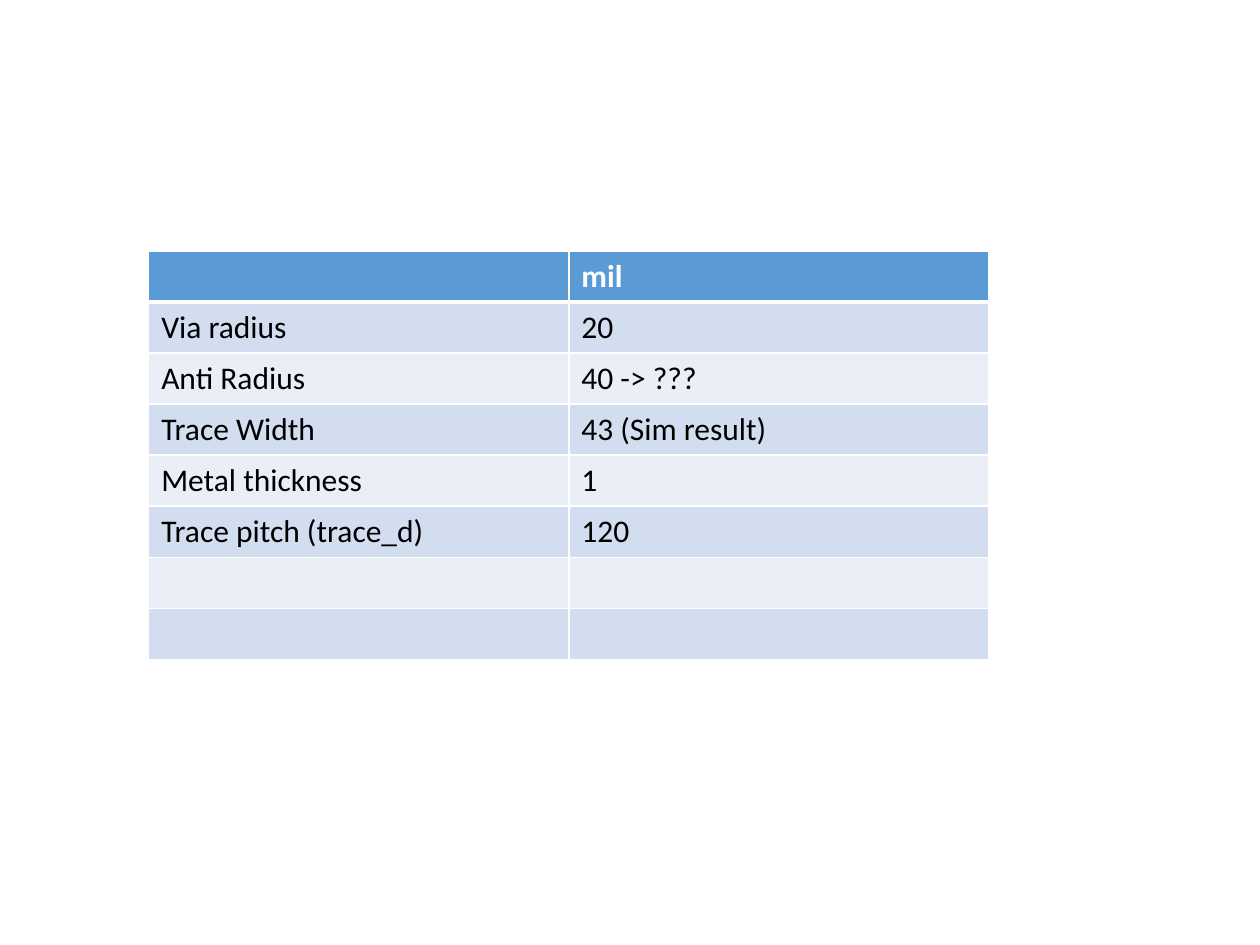
from lxml import etree
from pptx import Presentation
from pptx import util as u
from pptx.dml.color import RGBColor
from pptx.oxml import ns

WHITE = RGBColor(0xFF, 0xFF, 0xFF)
BLACK = RGBColor(0, 0, 0)
BLUE = RGBColor(0x5B, 0x9B, 0xD5)
BANDS = [RGBColor(0xEA, 0xEF, 0xF7), RGBColor(0xD2, 0xDE, 0xEF)]

ROWS = [
    ("", "mil"),
    ("Via radius", "20"),
    ("Anti Radius", "40 -> ???"),
    ("Trace Width", "43 (Sim result)"),
    ("Metal thickness", "1"),
    ("Trace pitch (trace_d)", "120"),
    ("", ""),
    ("", ""),
]


def write(frame, text, size=18, color=BLACK, bold=False, font="Calibri"):
    para = frame.paragraphs[0]
    para.font.size = u.Pt(size)
    if text:
        run = para.add_run()
        run.text = text
        run.font.size = u.Pt(size)
        run.font.name = font
        run.font.bold = bold
        run.font.color.rgb = color


def edge(cell, side, width, color=WHITE):
    props = cell._tc.get_or_add_tcPr()
    line = etree.SubElement(props, ns.qn("a:ln" + side), w=str(u.Pt(width)))
    fill = etree.SubElement(line, ns.qn("a:solidFill"))
    etree.SubElement(fill, ns.qn("a:srgbClr"), val=str(color))


def add_sizes(slide, left, top, width, height):
    count = len(ROWS)
    table = slide.shapes.add_table(count, 2, left, top, width, height).table
    for r, row in enumerate(ROWS):
        head = r == 0
        for c, text in enumerate(row):
            cell = table.cell(r, c)
            for side in "LRTB":
                thick = (head and side == "B") or (r == 1 and side == "T")
                edge(cell, side, 3 if thick else 1)
            cell.fill.solid()
            cell.fill.fore_color.rgb = BLUE if head else BANDS[r % 2]
            write(cell.text_frame, text, color=WHITE if head else BLACK, bold=head)


deck = Presentation()
deck.slide_width, deck.slide_height = u.Inches(10), u.Inches(7.5)
slide = deck.slides.add_slide(deck.slide_layouts[6])
add_sizes(slide, u.Inches(1.18), u.Inches(1.99), u.Inches(6.67), u.Inches(3.24))
deck.save("out.pptx")
